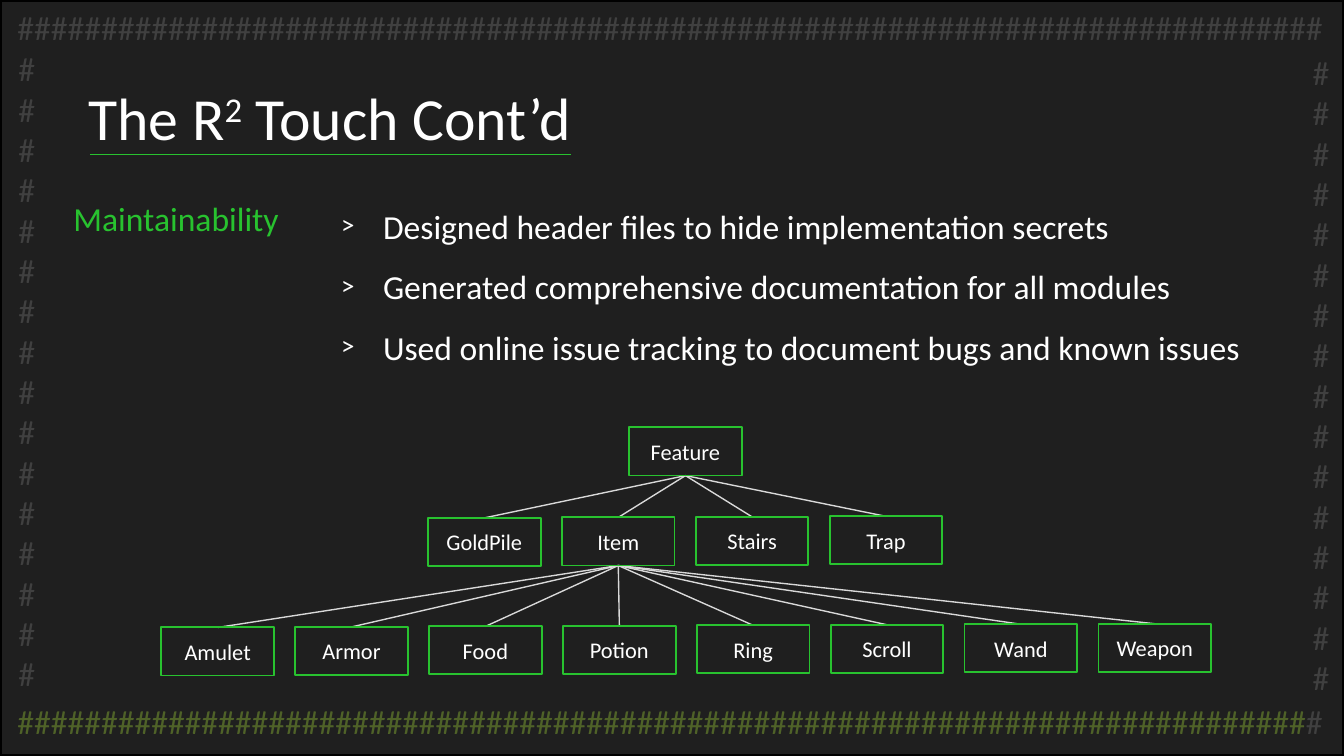
from lxml import etree
from pptx import Presentation
from pptx.dml.color import RGBColor
from pptx.enum.shapes import MSO_CONNECTOR, MSO_SHAPE
from pptx.enum.text import MSO_ANCHOR, PP_ALIGN
from pptx.oxml.ns import qn
from pptx.util import Cm, Pt

RECT, STRAIGHT = MSO_SHAPE.RECTANGLE, MSO_CONNECTOR.STRAIGHT
TOP, MIDDLE = MSO_ANCHOR.TOP, MSO_ANCHOR.MIDDLE
LEFT, CENTER, RIGHT = PP_ALIGN.LEFT, PP_ALIGN.CENTER, PP_ALIGN.RIGHT

DARK = RGBColor(0x1F, 0x1F, 0x1F)
BLACK = RGBColor(0, 0, 0)
WHITE = RGBColor(0xFF, 0xFF, 0xFF)
GREEN = RGBColor(0x28, 0xC2, 0x2F)
OLIVE = RGBColor(0x4F, 0x62, 0x28)
GRAY = RGBColor(0x40, 0x40, 0x40)
PALE = RGBColor(0xD9, 0xD9, 0xD9)

WIDTH, HEIGHT = 25.4, 14.29
BOX_W, BOX_H, BOX_STEP, ROW_RISE = 2.13, 0.91, 2.53, 0.01

POINTS = [
    "Designed header files to hide implementation secrets",
    "Generated comprehensive documentation for all modules",
    "Used online issue tracking to document bugs and known issues",
]
FEATURES = ["GoldPile", "Item", "Stairs", "Trap"]
ITEMS = ["Amulet", "Armor", "Food", "Potion", "Ring", "Scroll", "Wand", "Weapon"]


def add_run(p, text, size=18, color=WHITE, baseline=0):
    """Append a formatted run to a paragraph."""
    r = p.add_run()
    r.text = text
    r.font.name = "Calibri"
    r.font.size = Pt(size)
    r.font.color.rgb = color
    if baseline:
        r.font._element.set("baseline", str(baseline * 1000))


def write(tf, text, align=LEFT, anchor=TOP, **fmt):
    """Start a wrapped text frame with one run and return its paragraph."""
    tf.word_wrap = True
    tf.vertical_anchor = anchor
    p = tf.paragraphs[0]
    p.alignment = align
    add_run(p, text, **fmt)
    return p


def add_text(s, x, y, w, h, text, **fmt):
    """Add a text box and return its paragraph."""
    sp = s.shapes.add_textbox(Cm(x), Cm(y), Cm(w), Cm(h))
    return write(sp.text_frame, text, **fmt)


def add_rect(s, x, y, w, h, line, width, fill=None):
    """Add an outlined rectangle."""
    sp = s.shapes.add_shape(RECT, Cm(x), Cm(y), Cm(w), Cm(h))
    sp.shadow.inherit = False
    if fill is None:
        sp.fill.background()
    else:
        sp.fill.solid()
        sp.fill.fore_color.rgb = fill
    sp.line.color.rgb = line
    sp.line.width = Pt(width)
    return sp


def add_line(s, start, end, color):
    """Add a thin straight connector between two points."""
    c = s.shapes.add_connector(STRAIGHT, *map(Cm, (*start, *end)))
    c.line.color.rgb = color
    c.line.width = Pt(0.75)
    etree.SubElement(c._element.spPr, qn("a:effectLst"))


def add_bullet(p):
    """Give a paragraph a hanging white arrow bullet."""
    pPr = p._p.get_or_add_pPr()
    pPr.set("marL", str(Cm(0.79)))
    pPr.set("indent", str(-Cm(0.79)))
    clr = etree.SubElement(pPr, qn("a:buClr"))
    etree.SubElement(clr, qn("a:srgbClr"), val=str(WHITE))
    etree.SubElement(pPr, qn("a:buSzPct"), val="80000")
    etree.SubElement(pPr, qn("a:buFont"), typeface="Calibri")
    etree.SubElement(pPr, qn("a:buChar"), char=">")


def add_points(s):
    """Add the bulleted list."""
    sp = s.shapes.add_textbox(Cm(6.2), Cm(3.38), Cm(18.36), Cm(3.71))
    tf = sp.text_frame
    tf.word_wrap = True
    for i, text in enumerate(POINTS):
        p = tf.add_paragraph() if i else tf.paragraphs[0]
        p.line_spacing = 1.5
        add_bullet(p)
        add_run(p, text)


def add_frame(s):
    """Add the background and its border of hash signs."""
    add_rect(s, 0, 0, WIDTH, HEIGHT, BLACK, 2, fill=DARK)
    add_text(s, 0.08, 0, 25.32, 1.02, "#" * 78, color=GRAY)
    p = add_text(s, 0.08, 13.13, 25.32, 1.02, "#" * 77, color=OLIVE)
    add_run(p, "#", color=GRAY)
    for x, y in ((0.1, 0.79), (24.56, 0.86)):
        add_text(s, x, y, 0.74, 12.57, "#" * 16, color=GRAY)


def row_places(x, y, names):
    """Return the left top corner of each box in a row."""
    return [(x + i * BOX_STEP, y - i * ROW_RISE) for i in range(len(names))]


def add_links(s, parent, children):
    """Join the bottom of a parent box to the top of each child box."""
    start = parent[0] + BOX_W / 2, parent[1] + BOX_H
    for x, y in children:
        add_line(s, start, (x + BOX_W / 2, y), PALE)


def add_tree(s):
    """Add the tree of features and items."""
    root = (11.89, 8.08)
    features = row_places(8.09, 9.79, FEATURES)
    items = row_places(3.05, 11.86, ITEMS)
    add_links(s, features[FEATURES.index("Item")], items)
    add_links(s, root, features)
    names = ["Feature", *FEATURES, *ITEMS]
    for name, (x, y) in zip(names, [root, *features, *items]):
        sp = add_rect(s, x, y, BOX_W, BOX_H, GREEN, 1)
        write(sp.text_frame, name, align=CENTER, anchor=MIDDLE, size=12)


def main():
    """Build the slide and save it."""
    prs = Presentation()
    prs.slide_width, prs.slide_height = Cm(WIDTH), Cm(HEIGHT)
    s = prs.slides.add_slide(prs.slide_layouts[6])
    s.background.fill.solid()
    s.background.fill.fore_color.rgb = DARK
    add_frame(s)
    add_line(s, (1.7, 2.92), (10.8, 2.92), GREEN)
    p = add_text(s, 1.42, 0.97, 10.8, 2.46, "The R", anchor=MIDDLE, size=32)
    add_run(p, "2", size=32, baseline=30)
    add_run(p, " Touch Cont’d", size=32)
    add_points(s)
    add_text(s, 0.97, 3.61, 4.55, 1.02, "Maintainability", align=RIGHT, color=GREEN)
    add_tree(s)
    prs.save("out.pptx")


if __name__ == "__main__":
    main()
